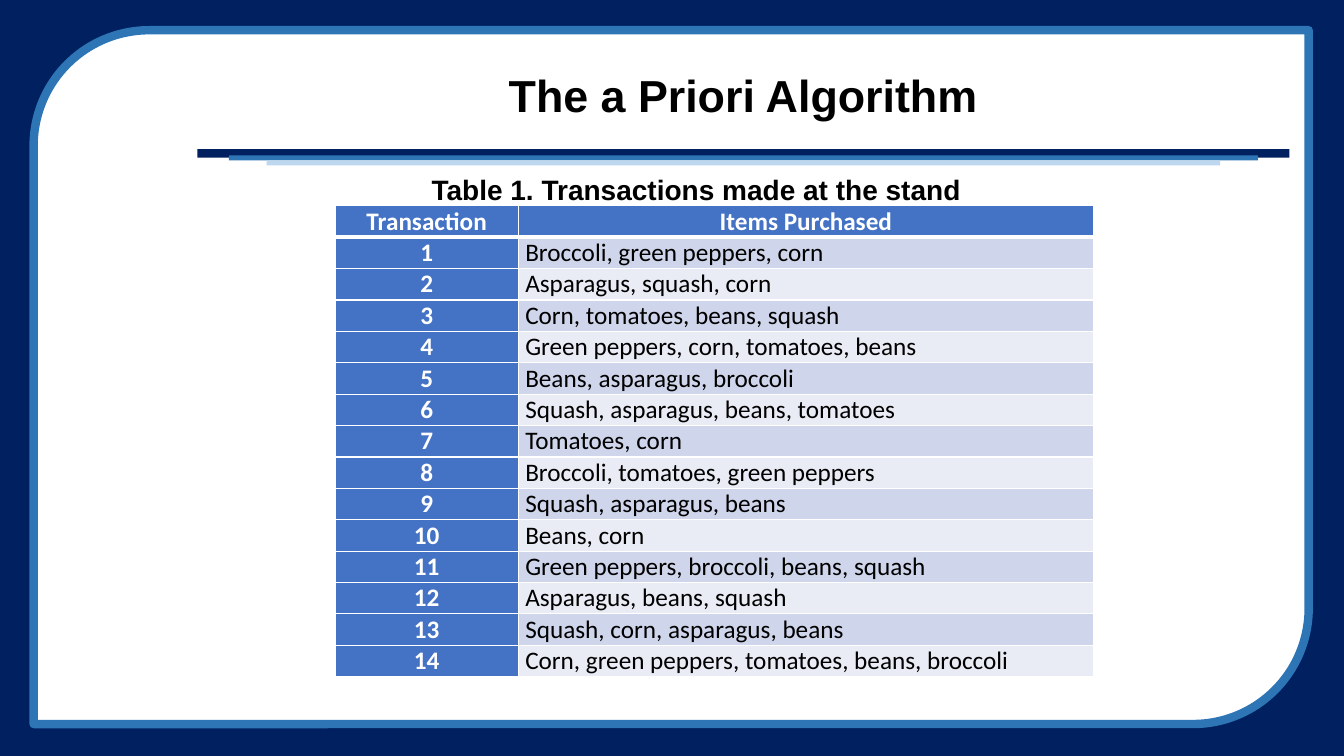
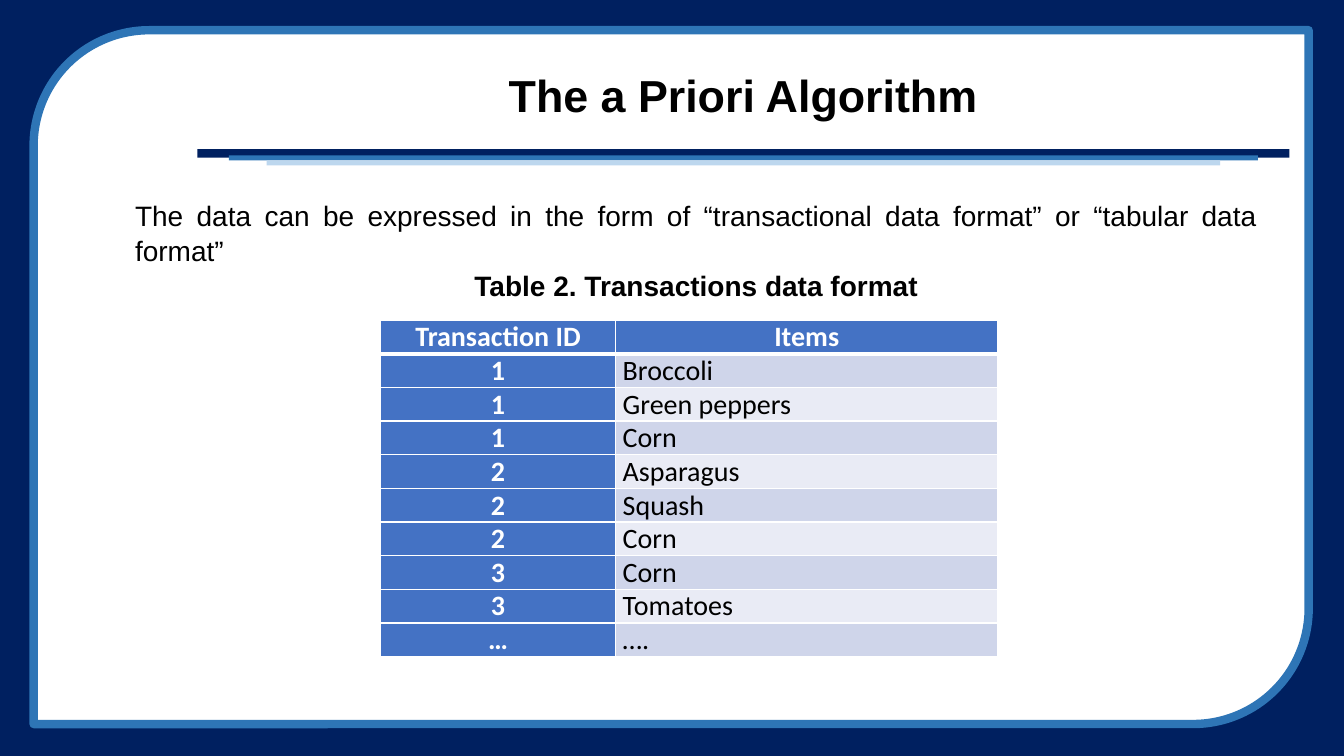
from lxml import etree
from pptx import Presentation
from pptx.dml.color import RGBColor
from pptx.enum.shapes import MSO_SHAPE
from pptx.enum.text import MSO_ANCHOR, PP_ALIGN
from pptx.oxml.ns import qn
from pptx.util import Inches, Pt

RECT = MSO_SHAPE.RECTANGLE
PANEL = MSO_SHAPE.ROUND_2_DIAG_RECTANGLE
TOP, MIDDLE = MSO_ANCHOR.TOP, MSO_ANCHOR.MIDDLE
LEFT, CENTER, JUSTIFY = PP_ALIGN.LEFT, PP_ALIGN.CENTER, PP_ALIGN.JUSTIFY

COLS, ROWS = 160, 90
COLORS = {
    "navy": "002060",
    "blue": "2E75B6",
    "pale": "BDD7EE",
    "white": "FFFFFF",
    "black": "000000",
    "head": "4472C4",
    "odd": "CFD5EA",
    "even": "E9EBF5",
}
HEADING = "The a Priori Algorithm"
BASKETS = [
    "Broccoli, green peppers, corn",
    "Asparagus, squash, corn",
    "Corn, tomatoes, beans, squash",
    "Green peppers, corn, tomatoes, beans",
    "Beans, asparagus, broccoli",
    "Squash, asparagus, beans, tomatoes",
    "Tomatoes, corn",
    "Broccoli, tomatoes, green peppers",
    "Squash, asparagus, beans",
    "Beans, corn",
    "Green peppers, broccoli, beans, squash",
    "Asparagus, beans, squash",
    "Squash, corn, asparagus, beans",
    "Corn, green peppers, tomatoes, beans, broccoli",
]
ITEMS = [
    ("1", "Broccoli"),
    ("1", "Green peppers"),
    ("1", "Corn"),
    ("2", "Asparagus"),
    ("2", "Squash"),
    ("2", "Corn"),
    ("3", "Corn"),
    ("3", "Tomatoes"),
    ("…", "…."),
]


def color(name):
    return RGBColor.from_string(COLORS[name])


class Deck:
    def __init__(self):
        self.file = Presentation()
        self.file.slide_width = Inches(13.333)
        self.file.slide_height = Inches(7.5)
        self.slide = None

    def x(self, cols):
        return round(self.file.slide_width * cols / COLS)

    def y(self, rows):
        return round(self.file.slide_height * rows / ROWS)

    def area(self, left, top, width, height):
        return self.x(left), self.y(top), self.x(width), self.y(height)

    def start(self, title):
        self.slide = self.file.slides.add_slide(self.file.slide_layouts[6])
        self.shape(RECT, (0, 0, COLS, ROWS), "navy")
        self.shape(PANEL, (4, 3.6, 151.8, 82.6), "white", "blue")
        bars = [(17.76, 130, 1, "navy"), (18.5, 122.5, 0.6, "blue"),
                (19.1, 113.5, 0.6, "pale")]
        for top, width, height, fill in bars:
            self.shape(RECT, (88.5 - width / 2, top, width, height), fill)
        self.text((23.5, 5.9, 130, 11.6), [(title, CENTER, True)], 32, 0.9, MIDDLE)

    def shape(self, kind, box, fill, line=None):
        shape = self.slide.shapes.add_shape(kind, *self.area(*box))
        shape.shadow.inherit = False
        shape.fill.solid()
        shape.fill.fore_color.rgb = color(fill)
        if line:
            shape.line.color.rgb = color(line)
            shape.line.width = Pt(6)
        else:
            shape.line.fill.background()

    def style(self, para, align, font, size, ink, bold):
        para.alignment = align
        para.font.name = font
        para.font.size = Pt(size)
        para.font.bold = bold
        para.font.color.rgb = color(ink)

    def text(self, box, lines, size=20, space=1.0, anchor=TOP):
        frame = self.slide.shapes.add_textbox(*self.area(*box)).text_frame
        frame.word_wrap = True
        frame.vertical_anchor = anchor
        for index, (words, align, bold) in enumerate(lines):
            para = frame.add_paragraph() if index else frame.paragraphs[0]
            para.text = words
            para.line_spacing = space
            self.style(para, align, "Arial", size, "black", bold)

    def edge(self, cell, side, width):
        props = cell._tc.get_or_add_tcPr()
        line = etree.SubElement(props, qn("a:ln" + side), w=str(Pt(width)))
        fill = etree.SubElement(line, qn("a:solidFill"))
        etree.SubElement(fill, qn("a:srgbClr"), val=COLORS["white"])

    def cell(self, cell, words, size, row, col):
        head = row == 0 or col == 0
        cell.text = words
        cell.vertical_anchor = MIDDLE
        cell.margin_left = cell.margin_right = Inches(0.07)
        cell.margin_top = cell.margin_bottom = 0
        self.style(cell.text_frame.paragraphs[0], CENTER if head else LEFT,
                   "Calibri", size, "white" if head else "black", head)
        thick = {"T": 3 if row == 1 else 1, "B": 3 if row == 0 else 1}
        for side in "LRTB":
            self.edge(cell, side, thick.get(side, 1))
        cell.fill.solid()
        cell.fill.fore_color.rgb = color("head" if head else "odd" if row % 2 else "even")

    def table(self, left, top, widths, height, size, data):
        box = self.area(left, top, sum(widths), height * len(data))
        table = self.slide.shapes.add_table(len(data), len(widths), *box).table
        for col, width in enumerate(widths):
            table.columns[col].width = self.x(width)
        for row, words in enumerate(data):
            table.rows[row].height = self.y(height)
            for col, word in enumerate(words):
                self.cell(table.cell(row, col), word, size, row, col)


def main():
    deck = Deck()

    deck.start(HEADING)
    deck.text((14.9, 19.6, 136, 59.8),
              [("Table 1. Transactions made at the stand", CENTER, True)], space=1.1)
    rows = [(str(number), basket) for number, basket in enumerate(BASKETS, 1)]
    deck.table(39.9, 24.5, (21.8, 68.5), 3.74, 18,
               [("Transaction", "Items Purchased")] + rows)

    deck.start(HEADING)
    deck.text((14.9, 22.8, 136, 56.5), [
        ("The data can be expressed in the form of “transactional data format” "
         "or “tabular data format”", JUSTIFY, False),
        ("Table 2. Transactions data format", CENTER, True),
    ], space=1.05)
    deck.table(45.3, 38.1, (28, 45.5), 4, 20,
               [("Transaction ID", "Items")] + ITEMS)

    deck.file.save("out.pptx")


if __name__ == "__main__":
    main()
